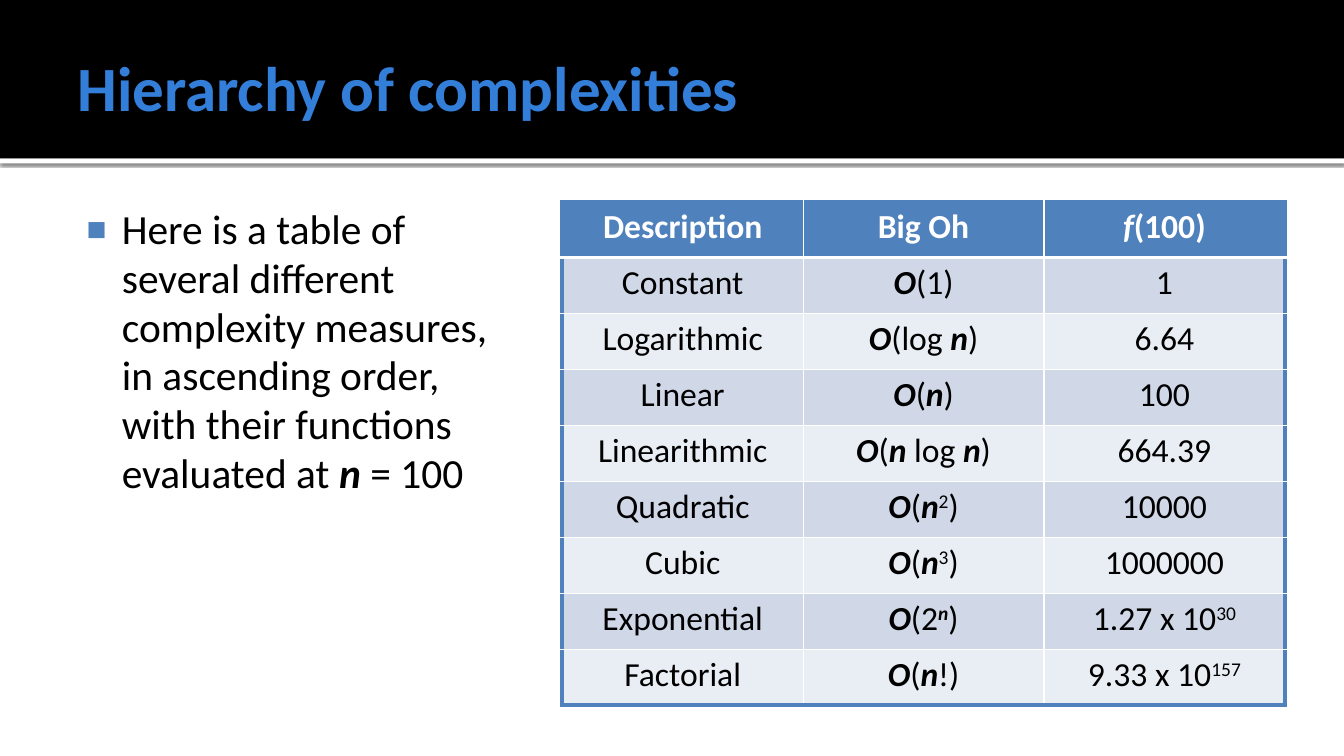
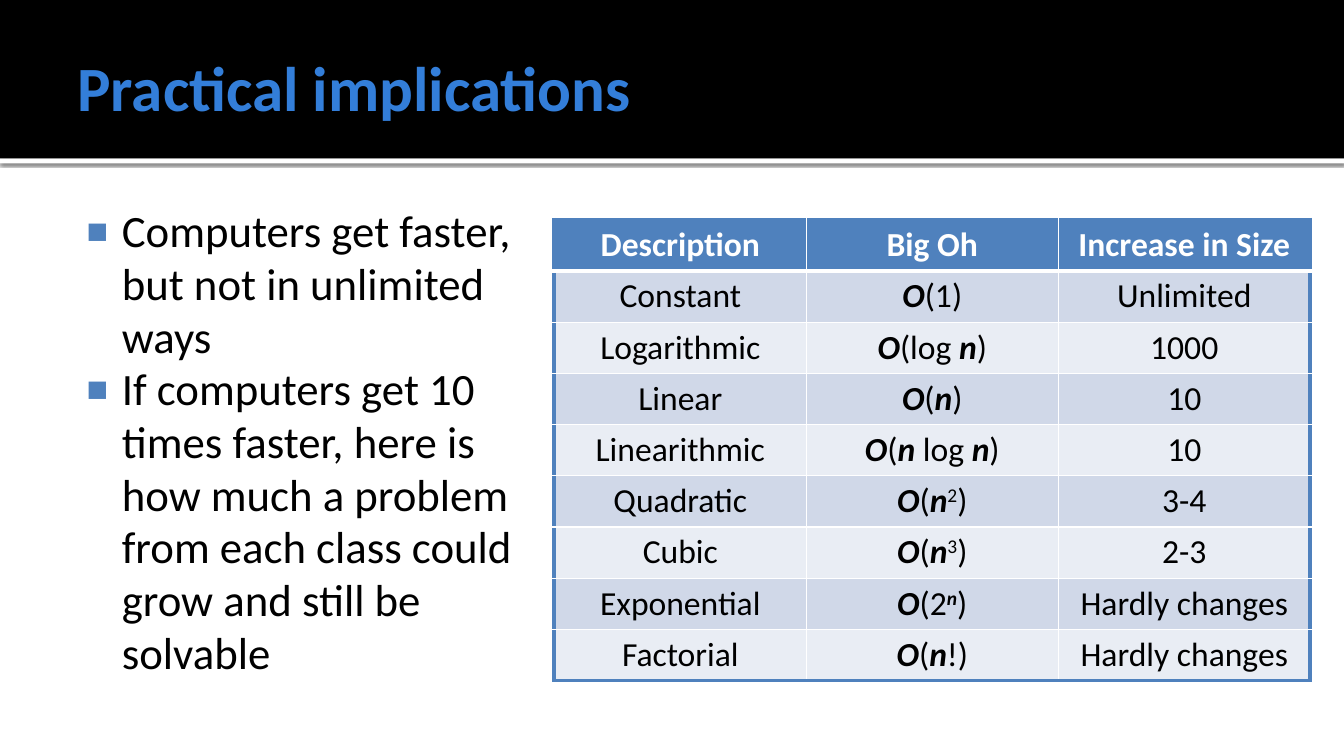
from pptx import Presentation
from pptx.dml.color import RGBColor
from pptx.enum.shapes import MSO_SHAPE
from pptx.enum.text import MSO_ANCHOR, MSO_AUTO_SIZE, PP_ALIGN
from pptx.oxml import parse_xml
from pptx.oxml.ns import nsdecls
from pptx.util import Cm, Pt

COLOURS = {
    "black": "000000",
    "white": "FFFFFF",
    "title": "337ED9",
    "accent": "4F81BD",
    "row_dark": "D0D8E8",
    "row_light": "E9EDF4",
}
FONT = "Calibri"
SLIDE_WIDTH, SLIDE_HEIGHT = 33.87, 19.05
BAND_HEIGHT = 3.99

COMPLEXITIES = [
    ("Constant", "*O*(1)"),
    ("Logarithmic", "*O*(log *n*)"),
    ("Linear", "*O*(*n*)"),
    ("Linearithmic", "*O*(*n* log *n*)"),
    ("Quadratic", "*O*(*n*^2^)"),
    ("Cubic", "*O*(*n*^3^)"),
    ("Exponential", "*O*(2^*n*^)"),
    ("Factorial", "*O*(*n*!)"),
]
VALUES_AT_100 = ["1", "6.64", "100", "664.39", "10000", "1000000",
                 "1.27 x 10^30^", "9.33 x 10^157^"]
SIZE_INCREASES = ["Unlimited", "1000", "10", "10", "3-4", "2-3",
                  "Hardly changes", "Hardly changes"]


def set_values(target, values):
    for name, value in values.items():
        setattr(target, name, value)


def rgb(colour):
    return RGBColor.from_string(COLOURS[colour])


def split_markup(text):
    """Yield (text, emphasised, raised): *bold italic*, ^superscript^."""
    raised = False
    for index, piece in enumerate(text.split("*")):
        for position, part in enumerate(piece.split("^")):
            if position:
                raised = not raised
            if part:
                yield part, index % 2 == 1, raised


class Deck:
    def __init__(self):
        self.presentation = Presentation()
        set_values(self.presentation, {"slide_width": Cm(SLIDE_WIDTH),
                                       "slide_height": Cm(SLIDE_HEIGHT)})
        self.layout = self.presentation.slide_layouts[1]
        self.slide = None

    def new_slide(self, title):
        first = self.slide is None
        self.slide = self.presentation.slides.add_slide(self.layout)
        if first:
            self.shared_bands()
        self.title(title)

    # Header bands, kept in the layout behind the placeholders
    def shared_bands(self):
        self.band(0, BAND_HEIGHT, "black")
        rule = self.band(BAND_HEIGHT, 0.13, "white")
        effects = rule.element.spPr.find(
            "{http://schemas.openxmlformats.org/drawingml/2006/main}effectLst")
        effects.append(parse_xml(
            f'<a:outerShdw {nsdecls("a")} blurRad="{Pt(2.5)}" dist="{Pt(0.8)}"'
            f' dir="5400000"><a:srgbClr val="{COLOURS["black"]}">'
            '<a:alpha val="60000"/></a:srgbClr></a:outerShdw>'))

    def band(self, top, height, colour):
        shape = self.slide.shapes.add_shape(
            MSO_SHAPE.RECTANGLE, 0, Cm(top), Cm(SLIDE_WIDTH), Cm(height))
        shape.shadow.inherit = False
        shape.fill.solid()
        shape.fill.fore_color.rgb = rgb(colour)
        shape.line.fill.background()
        self.layout.shapes.element.insert(2, shape.element)
        return shape

    # Text
    def add_text(self, paragraph, text, size, colour, bold=False):
        for part, emphasised, raised in split_markup(text):
            run = paragraph.add_run()
            run.text = part
            set_values(run.font, {"name": FONT, "size": Pt(size),
                                  "bold": bold or emphasised,
                                  "italic": emphasised})
            run.font.color.rgb = rgb(colour)
            if raised:
                run.font._element.set("baseline", "30000")

    def place(self, placeholder, box, margins, anchor):
        for name, length in zip(("left", "top", "width", "height"), box):
            setattr(placeholder, name, Cm(length))
        frame = placeholder.text_frame
        for side, length in zip(("left", "top", "right", "bottom"), margins):
            setattr(frame, f"margin_{side}", Cm(length))
        set_values(frame, {"word_wrap": True, "vertical_anchor": anchor,
                           "auto_size": MSO_AUTO_SIZE.NONE})
        return frame

    def title(self, text):
        frame = self.place(self.slide.shapes.title, (1.7, 0.43, 30.48, 3.48),
                           (0.25, 0.13, 0.13, 0.13), MSO_ANCHOR.MIDDLE)
        paragraph = frame.paragraphs[0]
        paragraph.alignment = PP_ALIGN.LEFT
        self.add_text(paragraph, text, 45, "title", bold=True)

    def bullets(self, items, width, height, size):
        frame = self.place(self.slide.placeholders[1], (1.7, 4.93, width, height),
                           (0.15, 0.25, 0.25, 0.13), MSO_ANCHOR.TOP)
        for index, item in enumerate(items):
            paragraph = frame.add_paragraph() if index else frame.paragraphs[0]
            properties = paragraph._p.get_or_add_pPr()
            properties.set("marL", str(Cm(1.22)))
            properties.set("indent", str(Cm(-0.89)))
            for bullet in (
                    f'<a:buClr {nsdecls("a")}><a:srgbClr val="{COLOURS["accent"]}"/></a:buClr>',
                    f'<a:buSzPct {nsdecls("a")} val="80000"/>',
                    f'<a:buChar {nsdecls("a")} char="■"/>'):
                properties.append(parse_xml(bullet))
            set_values(paragraph, {"space_before": Pt(0), "line_spacing": 0.98})
            self.add_text(paragraph, item, size, "black")

    # Table
    def table(self, heading, values, left, top, width, row_height):
        rows = [("Description", "Big Oh", heading)]
        rows += [(*names, value) for names, value in zip(COMPLEXITIES, values)]
        row_count, column_count = len(rows), len(rows[0])
        table = self.slide.shapes.add_table(
            row_count, column_count, Cm(left), Cm(top), Cm(width),
            Cm(row_height * row_count)).table
        set_values(table, {"first_row": False, "horz_banding": False})
        for row_index, row in enumerate(rows):
            header = row_index == 0
            fill = "accent" if header else ("row_light", "row_dark")[row_index % 2]
            for column_index, text in enumerate(row):
                cell = table.cell(row_index, column_index)
                outer = {"L": column_index == 0,
                         "R": column_index == column_count - 1,
                         "T": header, "B": row_index == row_count - 1}
                below_header = {0: "B", 1: "T"}.get(row_index)
                for side, is_outer in outer.items():
                    thick = is_outer or side == below_header
                    self.border(cell, side, "accent" if is_outer else "white",
                                3 if thick else 1)
                cell.fill.solid()
                cell.fill.fore_color.rgb = rgb(fill)
                paragraph = cell.text_frame.paragraphs[0]
                paragraph.alignment = PP_ALIGN.CENTER
                self.add_text(paragraph, text, 24,
                              "white" if header else "black", bold=header)

    def border(self, cell, side, colour, width):
        cell._tc.get_or_add_tcPr().append(parse_xml(
            f'<a:ln{side} {nsdecls("a")} w="{Pt(width)}"><a:solidFill>'
            f'<a:srgbClr val="{COLOURS[colour]}"/></a:solidFill></a:ln{side}>'))


def main():
    deck = Deck()

    # Growth of each class
    deck.new_slide("Hierarchy of complexities")
    deck.bullets(["Here is a table of several different complexity measures, in "
                  "ascending order, with their functions evaluated at *n* = 100"],
                 width=11.43, height=8.84, size=29.6)
    deck.table("*f*(100)", VALUES_AT_100,
               left=14.17, top=5.08, width=18.21, row_height=1.41)

    # Effect of faster computers
    deck.new_slide("Practical implications")
    deck.bullets(["Computers get faster, but not in unlimited ways",
                  "If computers get 10 times faster, here is how much a problem "
                  "from each class could grow and still be solvable"],
                 width=12.27, height=12.65, size=32)
    deck.table("Increase in Size", SIZE_INCREASES,
               left=13.97, top=5.54, width=19.05, row_height=1.29)

    deck.presentation.save("out.pptx")


if __name__ == "__main__":
    main()
